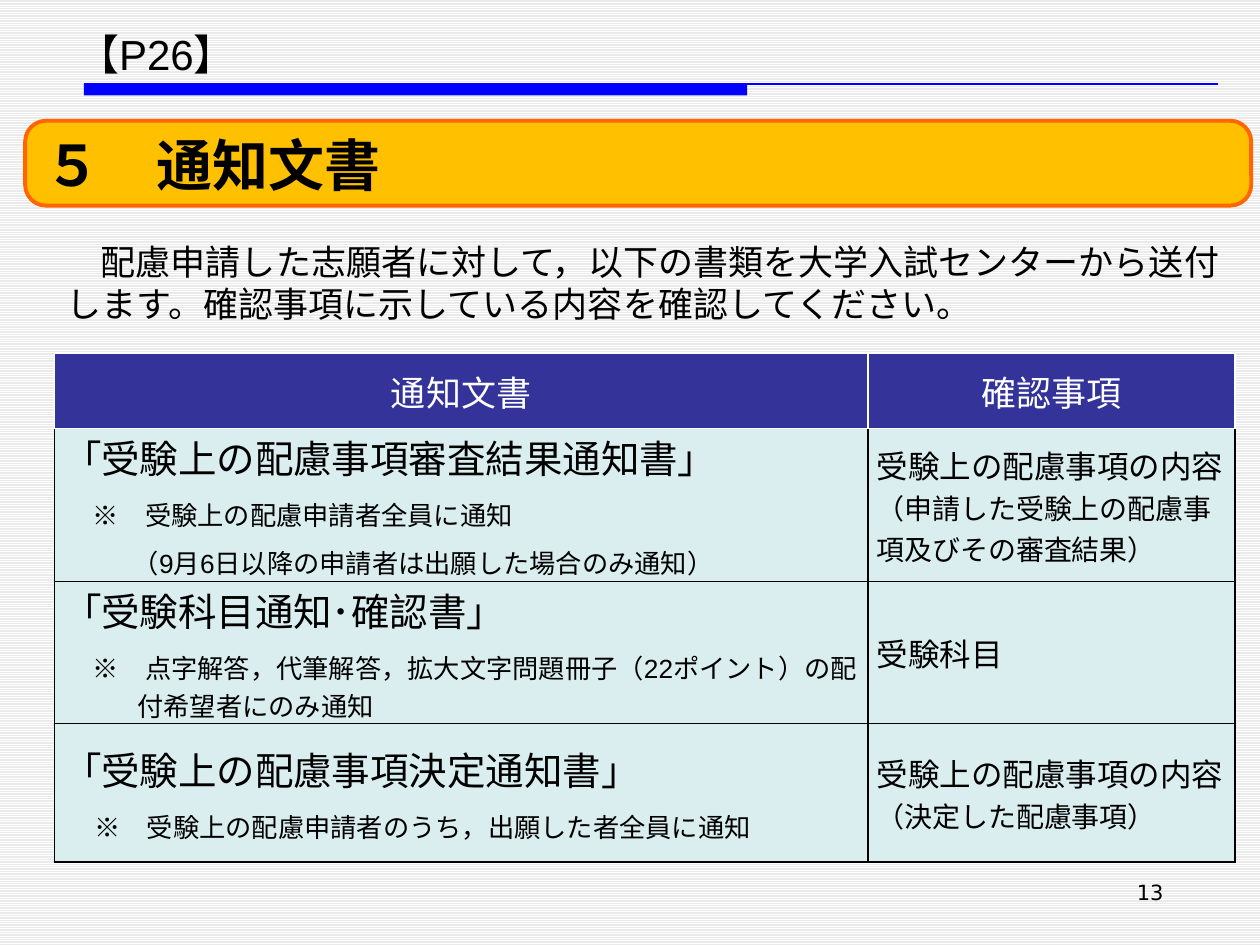
from dataclasses import dataclass

from pptx import Presentation
from pptx.dml.color import RGBColor
from pptx.enum import dml, shapes, text
from pptx.oxml.ns import qn
from pptx.util import Pt
from lxml import etree

BLACK = RGBColor(0x00, 0x00, 0x00)
WHITE = RGBColor(0xFF, 0xFF, 0xFF)
STRIPE_GREY = RGBColor(0xEA, 0xEA, 0xEA)
RULE_BLUE = RGBColor(0x00, 0x00, 0xFF)
HEADER_BLUE = RGBColor(0x33, 0x33, 0x99)
CELL_TINT = RGBColor(0xDA, 0xED, 0xEF)
BANNER_GOLD = RGBColor(0xFF, 0xC0, 0x00)
BANNER_ORANGE = RGBColor(0xFF, 0x66, 0x00)

JAPANESE_FONT = "Noto Sans CJK JP"
COLUMNS = (465, 209.6)
TABLE_LEFT = 31
LEFT, CENTER, RIGHT = text.PP_ALIGN.LEFT, text.PP_ALIGN.CENTER, text.PP_ALIGN.RIGHT
MIDDLE = text.MSO_ANCHOR.MIDDLE


@dataclass(frozen=True)
class Run:
    content: str
    size: float


@dataclass(frozen=True)
class Para:
    """Runs of one paragraph; margin and indent are in points."""
    runs: tuple[Run, ...]
    before: float = 0
    margin: float = 0
    indent: float = 0
    align: text.PP_ALIGN = LEFT
    color: RGBColor = BLACK
    font: str = "Arial"
    bold: bool = False
    spacing: float | None = None


def line(content: str, size: float, **style) -> Para:
    return Para((Run(content, size),), **style)


def note(content: str, indent: float = 17, margin: float = 0) -> Para:
    return line(content, 15, before=6, margin=margin, indent=indent)


def write(frame, paras: list[Para]) -> None:
    for number, para in enumerate(paras):
        paragraph = frame.paragraphs[0] if number == 0 else frame.add_paragraph()
        paragraph.alignment = para.align
        if number:
            paragraph.space_before = Pt(para.before)
        if para.spacing:
            paragraph.line_spacing = Pt(para.spacing)
        properties = paragraph._p.get_or_add_pPr()
        properties.set("marL", str(Pt(para.margin)))
        properties.set("indent", str(Pt(para.indent)))
        font = paragraph.font
        font.name, font.bold = para.font, para.bold
        font.color.rgb = para.color
        east_asian = etree.SubElement(properties.find(qn("a:defRPr")), qn("a:ea"))
        east_asian.set("typeface", JAPANESE_FONT)
        for part in para.runs:
            run = paragraph.add_run()
            run.text = part.content
            if len(para.runs) == 1:
                font.size = Pt(part.size)
            else:
                run.font.size = Pt(part.size)


def add_text(slide, left: float, top: float, width: float, height: float,
             para: Para, anchor=text.MSO_ANCHOR.TOP) -> None:
    frame = slide.shapes.add_textbox(Pt(left), Pt(top), Pt(width), Pt(height)).text_frame
    frame.word_wrap = True
    frame.vertical_anchor = anchor
    write(frame, [para])


def set_border(cell, sides: str, color: RGBColor) -> None:
    """Draw 1 pt borders; sides is a subset of LRTB in that order."""
    for side in sides:
        border = etree.SubElement(cell._tc.get_or_add_tcPr(), qn(f"a:ln{side}"), w=str(Pt(1)))
        fill = etree.SubElement(border, qn("a:solidFill"))
        etree.SubElement(fill, qn("a:srgbClr"), val=str(color))


def add_grid(slide, top: float, heights: tuple[float, ...], rows: list[list[list[Para]]],
             fill: RGBColor, border: RGBColor, sides: tuple[str, str]) -> None:
    """Add a two-column table; sides gives the borders for each column."""
    table = slide.shapes.add_table(len(rows), len(COLUMNS), Pt(TABLE_LEFT), Pt(top),
                                   Pt(sum(COLUMNS)), Pt(sum(heights))).table
    table.first_row = table.horz_banding = False
    for column, width in zip(table.columns, COLUMNS):
        column.width = Pt(width)
    for r, (height, row) in enumerate(zip(heights, rows)):
        table.rows[r].height = Pt(height)
        for c, paras in enumerate(row):
            cell = table.cell(r, c)
            cell.margin_left = cell.margin_right = Pt(5)
            cell.margin_top = cell.margin_bottom = 0
            cell.vertical_anchor = MIDDLE
            set_border(cell, sides[c], border)
            cell.fill.solid()
            cell.fill.fore_color.rgb = fill
            write(cell.text_frame, paras)


def add_rule(slide) -> None:
    left, top = Pt(48), Pt(48)
    block = slide.shapes.add_shape(shapes.MSO_SHAPE.RECTANGLE, left, top, Pt(379), Pt(6.5))
    block.shadow.inherit = False
    block.fill.solid()
    block.fill.fore_color.rgb = RULE_BLUE
    block.line.fill.background()
    thin = slide.shapes.add_connector(shapes.MSO_CONNECTOR.STRAIGHT, left, top, Pt(696), top)
    thin.line.color.rgb = RULE_BLUE
    thin.line.width = Pt(0.75)
    etree.SubElement(thin._element.spPr, qn("a:effectLst"))


def add_banner(slide) -> None:
    banner = slide.shapes.add_shape(shapes.MSO_SHAPE.ROUNDED_RECTANGLE,
                                    Pt(14.4), Pt(69), Pt(700.6), Pt(48.5))
    banner.adjustments[0] = 0.245
    banner.shadow.inherit = False
    banner.fill.solid()
    banner.fill.fore_color.rgb = BANNER_GOLD
    banner.line.color.rgb = BANNER_ORANGE
    banner.line.width = Pt(2.25)

    title = slide.shapes.title
    title.left, title.top, title.width, title.height = Pt(18), Pt(63), Pt(693), Pt(53.4)
    title.text_frame.auto_size = text.MSO_AUTO_SIZE.NONE
    title.text_frame.vertical_anchor = text.MSO_ANCHOR.BOTTOM
    write(title.text_frame, [line("５　通知文書", 32, font=JAPANESE_FONT, bold=True)])
    banner._element.addnext(title._element)


NOTICES = [
    [[line("「受験上の配慮事項審査結果通知書」", 22),
      note("※　受験上の配慮申請者全員に通知"),
      note("（9月6日以降の申請者は出願した場合のみ通知）", indent=40)],
     [Para((Run("受験上の配慮事項の内容", 18),
            Run("（申請した受験上の配慮事項及びその審査結果）", 16)))]],
    [[line("「受験科目通知･確認書」", 22),
      note("※　点字解答，代筆解答，拡大文字問題冊子（22ポイント）の配付希望者にのみ通知",
           indent=-25.5, margin=42.5)],
     [line("受験科目", 18)]],
    [[line("「受験上の配慮事項決定通知書｣", 22),
      note("※　受験上の配慮申請者のうち，出願した者全員に通知", indent=18)],
     [line("受験上の配慮事項の内容", 18), line("（決定した配慮事項）", 16)]],
]


def main() -> None:
    deck = Presentation()
    deck.slide_width, deck.slide_height = Pt(720), Pt(540)
    slide = deck.slides.add_slide(deck.slide_layouts[5])
    backdrop = slide.background.fill
    backdrop.patterned()
    backdrop.pattern = dml.MSO_PATTERN.LIGHT_HORIZONTAL
    backdrop.fore_color.rgb = WHITE
    backdrop.back_color.rgb = STRIPE_GREY

    add_rule(slide)
    add_grid(slide, 245, (85, 79, 79), NOTICES, CELL_TINT, BLACK, ("LRTB", "LRTB"))
    add_text(slide, 37, 4, 134, 53, line("【P26】", 24), MIDDLE)
    add_banner(slide)
    add_text(slide, 31, 134, 674.6, 55.4, line(
        "配慮申請した志願者に対して，以下の書類を大学入試センターから送付します。"
        "確認事項に示している内容を確認してください。", 20, indent=19.5, spacing=24))
    headings = [[line(heading, 20, align=CENTER, color=WHITE)]
                for heading in ("通知文書", "確認事項")]
    add_grid(slide, 202, (43,), [headings], HEADER_BLUE, WHITE, ("R", "L"))
    add_text(slide, 516, 499, 156, 37.5, line("13", 12, align=RIGHT, font="DejaVu Sans"))
    deck.save("out.pptx")


if __name__ == "__main__":
    main()
